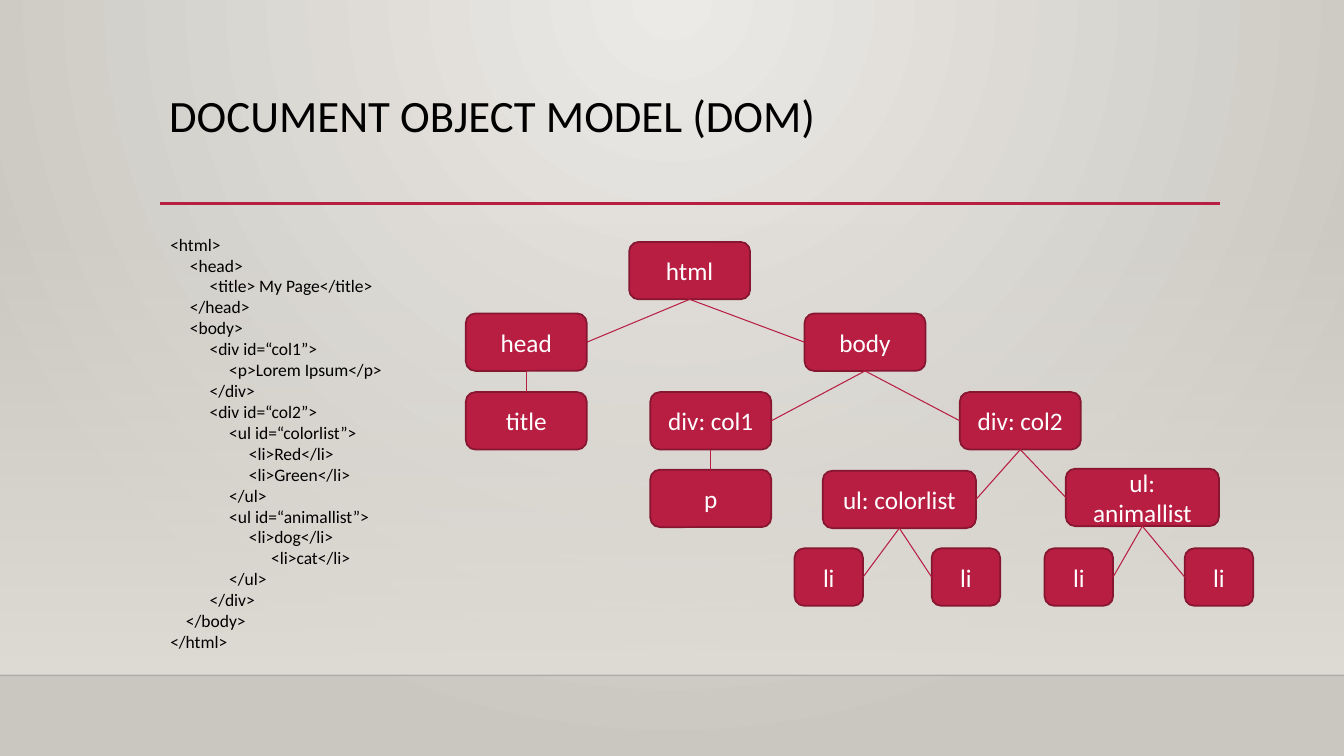
import pptx
import pptx.util
import pptx.dml.color
import pptx.enum.shapes
import pptx.enum.text
import pptx.oxml
import pptx.oxml.ns

Inches = pptx.util.Inches
Pt = pptx.util.Pt
SHAPE = pptx.enum.shapes.MSO_SHAPE
ALIGN = pptx.enum.text.PP_ALIGN
ANCHOR = pptx.enum.text.MSO_ANCHOR
FONT = "Calibri"

COLORS = {
    "red": "B71E42", "edge": "871631", "ink": "000000", "white": "FFFFFF",
    "glow": "ECEAE7", "rim": "CAC7C1", "floor": "DFDBD5", "seam": "000001",
}

STEP = 0.195  # indent of one code level
CODE = [
    (0, "<html>"),
    (1, "<head>"),
    (2, "<title> My Page</title>"),
    (1, "</head>"),
    (1, "<body>"),
    (2, "<div id=“col1”>"),
    (3, "<p>Lorem Ipsum</p>"),
    (2, "</div>"),
    (2, "<div id=“col2”>"),
    (3, "<ul id=“colorlist”>"),
    (4, "<li>Red</li>"),
    (4, "<li>Green</li>"),
    (3, "</ul>"),
    (3, "<ul id=“animallist”>"),
    (4, "<li>dog</li>"),
    (5.13, "<li>cat</li>"),
    (3, "</ul>"),
    (2, "</div>"),
    (0.8, "</body>"),
    (0, "</html>"),
]

HIGH = 0.57
WIDE, LIST, LEAF = 1.2, 1.52, 0.68
# key: (label, left, top, width, parent)
NODES = {
    "html": ("html", 6.24, 2.4, WIDE, None),
    "body": ("body", 7.98, 3.11, WIDE, "html"),
    "head": ("head", 4.62, 3.11, WIDE, "html"),
    "title": ("title", 4.62, 3.89, WIDE, "head"),
    "col1": ("div: col1", 6.45, 3.89, WIDE, "body"),
    "p": ("p", 6.45, 4.66, WIDE, "col1"),
    "col2": ("div: col2", 9.52, 3.89, WIDE, "body"),
    "beasts": ("ul: animallist", 10.57, 4.65, LIST, "col2"),
    "hues": ("ul: colorlist", 8.16, 4.67, LIST, "col2"),
    "red": ("li", 7.88, 5.44, LEAF, "hues"),
    "green": ("li", 9.24, 5.44, LEAF, "hues"),
    "dog": ("li", 10.36, 5.44, LEAF, "beasts"),
    "cat": ("li", 11.75, 5.44, LEAF, "beasts"),
}


def paint(name):
    return pptx.dml.color.RGBColor.from_string(COLORS[name])


def child(node, tag, **attrs):
    """Append an empty drawing element to node."""
    item = pptx.oxml.parse_xml(f"<a:{tag} {pptx.oxml.ns.nsdecls('a')}/>")
    for key, value in attrs.items():
        item.set(key, str(value))
    node.append(item)
    return item


def blend(fill, first, last):
    """Give fill a two-colour gradient that runs downward."""
    fill.gradient()
    fill.gradient_angle = 270
    for stop, name in zip(fill.gradient_stops, (first, last)):
        stop.color.rgb = paint(name)


def backdrop(slide):
    blend(slide.background.fill, "glow", "rim")
    grad = slide._element.xpath(".//p:bg//a:gradFill")[0]
    grad.remove(grad.xpath("a:lin")[0])
    ring = child(grad, "path", path="circle")
    child(ring, "fillToRect", l=43000, t=0, r=43000, b=100000)

    floor = slide.shapes.add_shape(
        SHAPE.RECTANGLE, 0, Inches(2.21), Inches(13.33), Inches(4.49))
    floor.shadow.inherit = False
    floor.line.fill.background()
    blend(floor.fill, "floor", "floor")
    child(floor._element.xpath(".//a:gs//a:srgbClr")[0], "alpha", val=0)


def add_line(slide, start, end, color, width):
    line = slide.shapes.add_connector(
        pptx.enum.shapes.MSO_CONNECTOR.STRAIGHT,
        *(Inches(value) for value in (*start, *end)))
    line.line.color.rgb = paint(color)
    line.line.width = Pt(width)
    child(line._element.spPr, "effectLst")
    return line


def add_run(para, text, size, color):
    run = para.add_run()
    run.text = text
    run.font.name = FONT
    run.font.size = Pt(size)
    run.font.color.rgb = paint(color)


def text_box(slide, left, top, width, height):
    box = slide.shapes.add_textbox(*map(Inches, (left, top, width, height)))
    box.text_frame.word_wrap = True
    return box.text_frame


def add_code(slide):
    frame = text_box(slide, 1.59, 2.27, 2.99, 4.3)
    for row, (level, text) in enumerate(CODE):
        para = frame.add_paragraph() if row else frame.paragraphs[0]
        para.line_spacing = Pt(14.95)
        para._p.get_or_add_pPr().set("marL", str(Inches(level * STEP)))
        add_run(para, text, 12.5, "ink")


def add_node(slide, label, left, top, width):
    node = slide.shapes.add_shape(
        SHAPE.ROUNDED_RECTANGLE, *map(Inches, (left, top, width, HIGH)))
    node.shadow.inherit = False
    node.fill.solid()
    node.fill.fore_color.rgb = paint("red")
    node.line.color.rgb = paint("edge")
    node.line.width = Pt(1.25)
    frame = node.text_frame
    frame.word_wrap = True
    frame.vertical_anchor = ANCHOR.MIDDLE
    frame.paragraphs[0].alignment = ALIGN.CENTER
    add_run(frame.paragraphs[0], label, 18, "white")
    return node


def link(slide, parent, kid):
    """Join the parent's foot to the side of the kid that faces it."""
    middle = parent.left + parent.width // 2
    if kid.left > middle:
        side = 1
    elif kid.left + kid.width < middle:
        side = 3
    else:
        side = 0
    line = add_line(slide, (0, 0), (1, 1), "red", 0.75)
    line.begin_connect(parent, 2)
    line.end_connect(kid, side)


def add_tree(slide):
    boxes = {key: add_node(slide, *node[:4]) for key, node in NODES.items()}
    for key, node in NODES.items():
        if node[4]:
            link(slide, boxes[node[4]], boxes[key])


def main():
    deck = pptx.Presentation()
    deck.slide_width, deck.slide_height = Inches(13.33), Inches(7.5)
    slide = deck.slides.add_slide(deck.slide_layouts[6])

    backdrop(slide)
    seam = add_line(slide, (0, 6.7), (13.33, 6.7), "seam", 1)
    child(seam._element.xpath(".//a:ln//a:srgbClr")[0], "alpha", val=20000)
    add_line(slide, (1.59, 2.02), (12.1, 2.02), "red", 2.5)

    title = text_box(slide, 1.58, 0.88, 10.5, 1.16).paragraphs[0]
    title.line_spacing = 0.9
    add_run(title, "DOCUMENT OBJECT MODEL (DOM)", 32, "ink")

    add_code(slide)
    add_tree(slide)
    deck.save("out.pptx")


if __name__ == "__main__":
    main()
